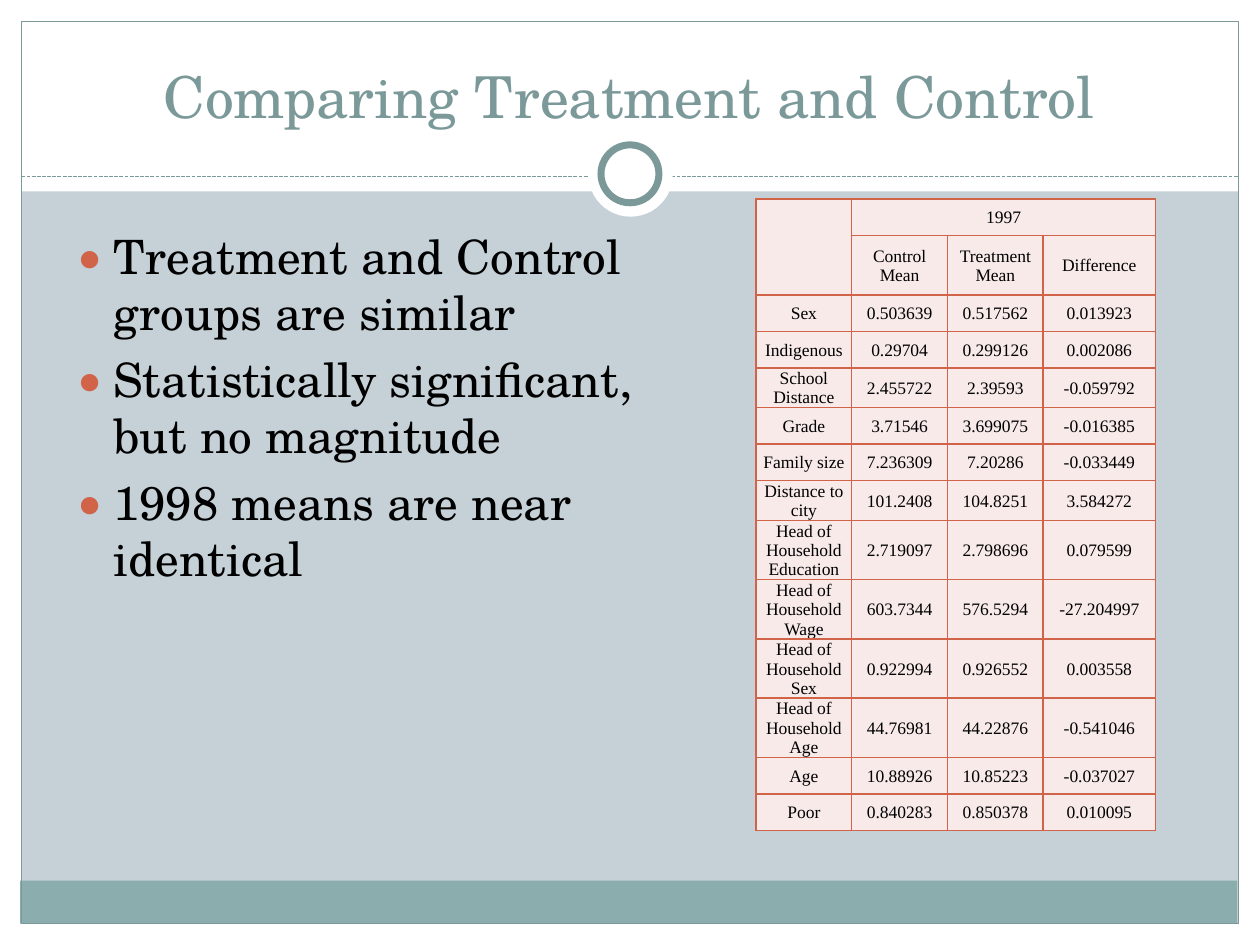
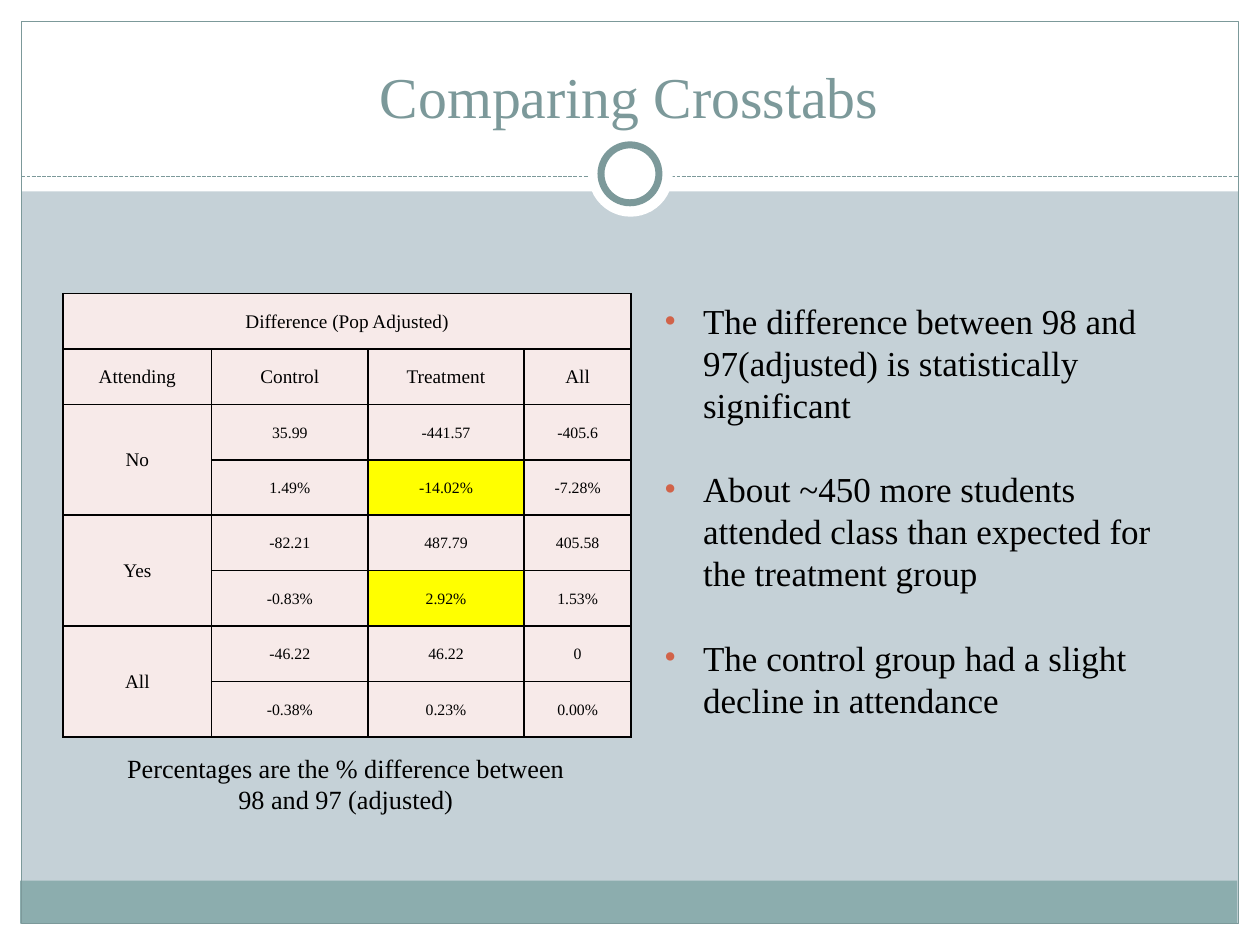
from lxml import etree
from pptx import Presentation
from pptx import util as u
from pptx.dml import color
from pptx.enum import dml, shapes, text
from pptx.oxml import ns

SERIF, SCHOOL = "Times New Roman", "TeX Gyre Schola"
TEAL, BAND, BACK, ACCENT = "7C999A", "8CADAE", "C5D1D7", "D16349"
WHITE, BLACK, CELL, MARK = "FFFFFF", "000000", "F7EAE9", "FFFF00"

MEANS = [
    ["", "1997", "", ""],
    ["", "Control Mean", "Treatment Mean", "Difference"],
    ["Sex", "0.503639", "0.517562", "0.013923"],
    ["Indigenous", "0.29704", "0.299126", "0.002086"],
    ["School Distance", "2.455722", "2.39593", "-0.059792"],
    ["Grade", "3.71546", "3.699075", "-0.016385"],
    ["Family size", "7.236309", "7.20286", "-0.033449"],
    ["Distance to city", "101.2408", "104.8251", "3.584272"],
    ["Head of Household Education", "2.719097", "2.798696", "0.079599"],
    ["Head of Household Wage", "603.7344", "576.5294", "-27.204997"],
    ["Head of Household Sex", "0.922994", "0.926552", "0.003558"],
    ["Head of Household Age", "44.76981", "44.22876", "-0.541046"],
    ["Age", "10.88926", "10.85223", "-0.037027"],
    ["Poor", "0.840283", "0.850378", "0.010095"],
]
CROSS = [
    ["Difference (Pop Adjusted)", "", "", ""],
    ["Attending", "Control", "Treatment", "All"],
    ["No", "35.99", "-441.57", "-405.6"],
    ["", "1.49%", "-14.02%", "-7.28%"],
    ["Yes", "-82.21", "487.79", "405.58"],
    ["", "-0.83%", "2.92%", "1.53%"],
    ["All", "-46.22", "46.22", "0"],
    ["", "-0.38%", "0.23%", "0.00%"],
]


def rgb(code):
    return color.RGBColor.from_string(code)


def inch(*vals):
    return [u.Inches(v) for v in vals]


def node(parent, tag, **attrs):
    item = etree.SubElement(parent, ns.qn(tag))
    for key, val in attrs.items():
        item.set(key, str(val))
    return item


class Deck:
    def __init__(self):
        self.prs = Presentation()
        self.prs.slide_width, self.prs.slide_height = inch(10, 7.5)
        self.layout = self.prs.slide_layouts[1]
        self.slide = None

    def start(self, title, font):
        self.slide = self.prs.slides.add_slide(self.layout)
        head = self.slide.shapes.title
        self.place(head, (0.33, 0.25, 9.33, 0.83), text.MSO_ANCHOR.BOTTOM)
        self.words(head.text_frame.paragraphs[0], title, 33, font, TEAL, True)

    def place(self, box, at, anchor=text.MSO_ANCHOR.TOP):
        box.left, box.top, box.width, box.height = inch(*at)
        form = {"word_wrap": True, "auto_size": text.MSO_AUTO_SIZE.NONE,
                "vertical_anchor": anchor}
        for key, val in form.items():
            setattr(box.text_frame, key, val)

    def words(self, par, words, size, font, ink=BLACK, center=False):
        """Add one formatted run to a paragraph."""
        par.alignment = text.PP_ALIGN.CENTER if center else text.PP_ALIGN.LEFT
        run = par.add_run()
        run.text = words
        for key, val in {"size": u.Pt(size), "name": font}.items():
            setattr(run.font, key, val)
        run.font.color.rgb = rgb(ink)

    def shape(self, kind, at, fill=None, line=None, width=0.75):
        item = self.slide.shapes.add_shape(kind, *inch(*at))
        item.shadow.inherit = False
        if fill:
            item.fill.solid()
            item.fill.fore_color.rgb = rgb(fill)
        else:
            item.fill.background()
        if line:
            item.line.color.rgb = rgb(line)
            item.line.width = u.Pt(width)
        else:
            item.line.fill.background()
        return item

    def rule(self, left, right, top):
        item = self.slide.shapes.add_connector(
            shapes.MSO_CONNECTOR.STRAIGHT, *inch(left, top, right, top))
        item.line.color.rgb = rgb(TEAL)
        item.line.width = u.Pt(0.75)
        item.line.dash_style = dml.MSO_LINE.SQUARE_DOT
        node(item.element.spPr, "a:effectLst")
        return item

    def frame(self):
        """Draw the shared bands and ring, and hand them to the layout."""
        rect, oval = shapes.MSO_SHAPE.RECTANGLE, shapes.MSO_SHAPE.OVAL
        fill = self.layout.background.fill
        fill.solid()
        fill.fore_color.rgb = rgb(BACK)
        edges = [(0, 7.33, 10, 0.17), (0, 0, 10, 1.52),
                 (0, 0, 0.17, 7.5), (9.83, 0, 0.17, 7.5)]
        parts = [self.shape(rect, at, WHITE) for at in edges]
        parts += [
            self.shape(rect, (0.16, 6.99, 9.66, 0.34), BAND),
            self.shape(rect, (0.17, 0.17, 9.66, 7.16), line=TEAL),
            self.rule(0.17, 9.83, 1.4),
            self.shape(oval, (4.67, 1.05, 0.67, 0.67), WHITE),
            self.shape(oval, (4.77, 1.15, 0.46, 0.46), WHITE, TEAL, 4),
        ]
        for num, part in enumerate(parts, 20):
            part.element.xpath(".//p:cNvPr")[0].set("id", str(num))
            self.layout.shapes.element.append(part.element)

    def points(self, at, items, size, font, mark, scale, indent, **gaps):
        """Fill the body placeholder with a bulleted list."""
        body = self.slide.placeholders[1]
        self.place(body, at)
        frame = body.text_frame
        for num, words in enumerate(items):
            par = frame.add_paragraph() if num else frame.paragraphs[0]
            self.words(par, words, size, font)
            for key, val in gaps.items():
                setattr(par, key, u.Pt(val))
            props = par._p.get_or_add_pPr()
            props.set("marL", str(u.Inches(indent)))
            props.set("indent", str(u.Inches(-indent)))
            node(node(props, "a:buClr"), "a:srgbClr", val=ACCENT)
            node(props, "a:buSzPct", val=scale * 1000)
            node(props, "a:buFont", typeface=font)
            node(props, "a:buChar", char=mark)

    def label(self, at, words, size):
        box = self.slide.shapes.add_textbox(*inch(*at))
        self.place(box, at)
        par = box.text_frame.paragraphs[0]
        self.words(par, words, size, SERIF, center=True)
        par.line_spacing = u.Pt(size * 1.2)

    def table(self, at, cols, rows, data, line, size, spans, marks=()):
        """Draw a bordered table; size gives the text size at (row, col)."""
        grid = self.slide.shapes.add_table(
            len(rows), len(cols), *inch(*at, sum(cols), sum(rows))).table
        grid.first_row = grid.horz_banding = False
        for col, wide in zip(grid.columns, cols):
            col.width = u.Inches(wide)
        for row, high in zip(grid.rows, rows):
            row.height = u.Inches(high)
        for r, vals in enumerate(data):
            for c, words in enumerate(vals):
                ink = MARK if (r, c) in marks else CELL
                self.cell(grid.cell(r, c), words, size(r, c), line, ink)
        for first, last in spans:
            grid.cell(*first).merge(grid.cell(*last))

    def cell(self, cell, words, size, line, fill):
        edge = u.Inches(0.01)
        form = {"margin_left": edge, "margin_right": edge, "margin_top": edge,
                "margin_bottom": 0, "vertical_anchor": text.MSO_ANCHOR.MIDDLE}
        for key, val in form.items():
            setattr(cell, key, val)
        self.words(cell.text_frame.paragraphs[0], words, size, SERIF, center=True)
        props = cell._tc.get_or_add_tcPr()
        for side in "LRTB":
            rim = node(props, f"a:ln{side}", w=u.Pt(1))
            node(node(rim, "a:solidFill"), "a:srgbClr", val=line)
        cell.fill.solid()
        cell.fill.fore_color.rgb = rgb(fill)


def means(deck):
    deck.start("Comparing Treatment and Control", SCHOOL)
    deck.frame()
    deck.points((0.5, 1.75, 4.83, 4.95), [
        "Treatment and Control groups are similar",
        "Statistically significant, but no magnitude",
        "1998 means are near identical",
    ], 27, SCHOOL, "●", 85, 0.3, space_before=5.4)
    one, two, three = 0.29, 0.31, 0.47
    rows = [one, three, one, one, two, one, one, two] + [three] * 4 + [one] * 2
    deck.table((6, 1.58), [0.76, 0.76, 0.76, 0.89], rows, MEANS, ACCENT,
               lambda r, c: 10, [((0, 0), (1, 0)), ((0, 1), (0, 3))])


def cross(deck):
    deck.start("Comparing Crosstabs", SERIF)
    spans = [((0, 0), (0, 3))] + [((r, 0), (r + 1, 0)) for r in (2, 4, 6)]
    deck.table((0.5, 2.33), [1.18, 1.24, 1.24, 0.85], [0.44] * 8, CROSS, BLACK,
               lambda r, c: 9 if r > 1 and c else 11, spans, [(3, 2), (5, 2)])
    deck.points((5.17, 2.33, 4.17, 3.47), [
        "The difference between 98 and 97(adjusted) is statistically significant",
        "About ~450 more students attended class than expected for the treatment group",
        "The control group had a slight decline in attendance",
    ], 20, SERIF, "•", 100, 0.31, line_spacing=24, space_before=0, space_after=24)
    deck.label((0.83, 5.92, 3.83, 0.61),
               "Percentages are the % difference between 98 and 97 (adjusted)", 15)


def main():
    deck = Deck()
    means(deck)
    cross(deck)
    deck.prs.save("out.pptx")


if __name__ == "__main__":
    main()
